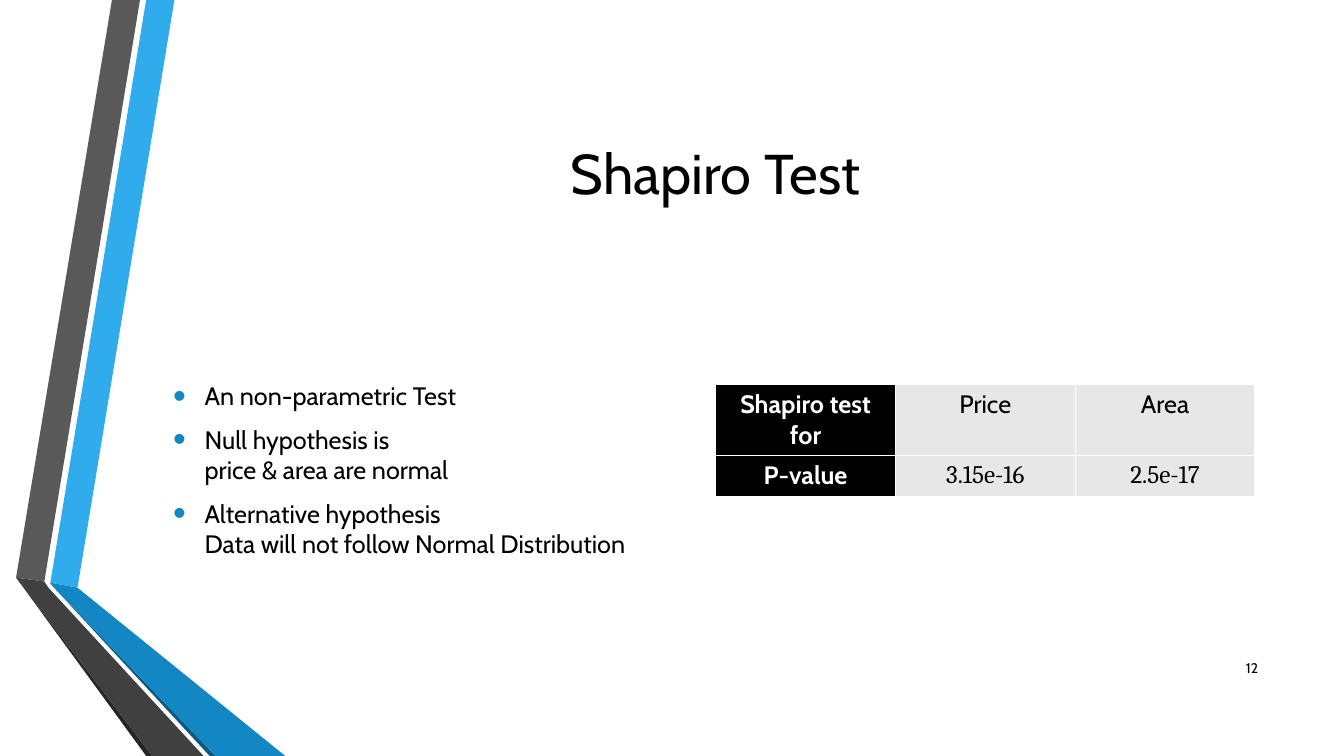
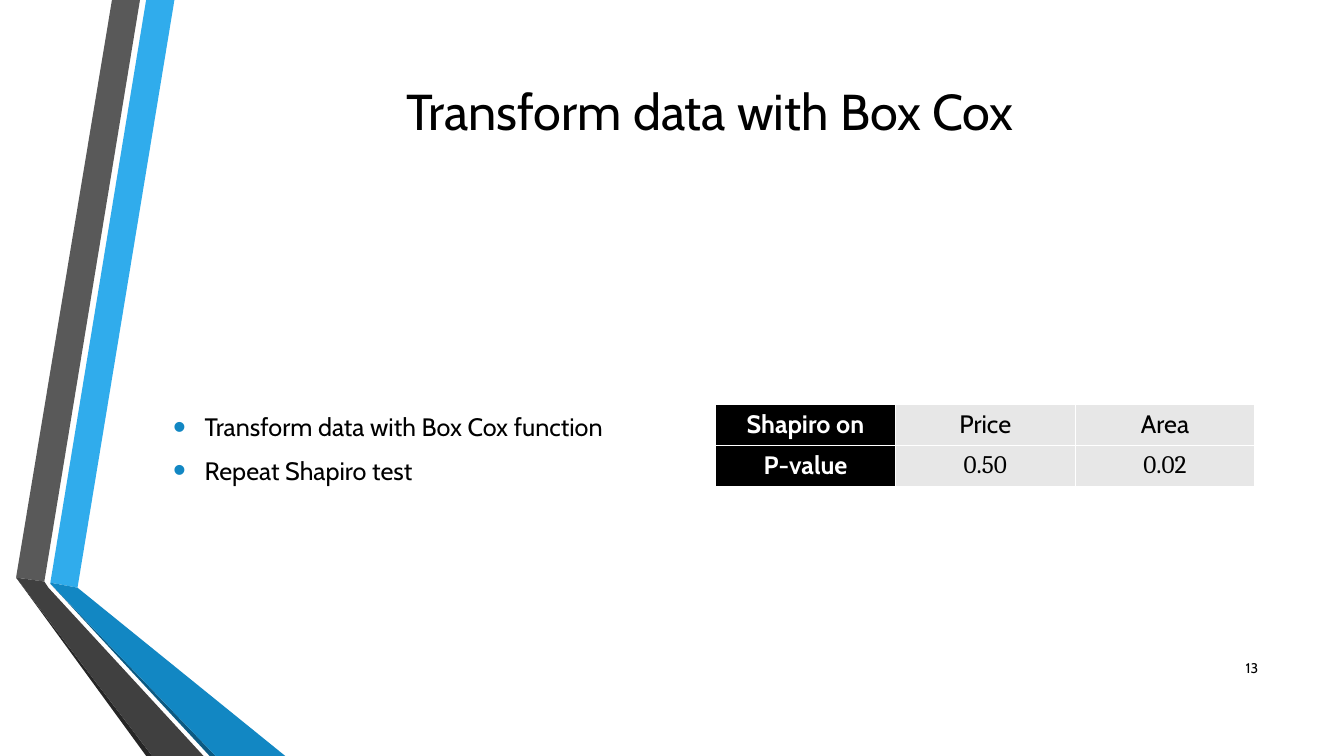
from lxml import etree
from pptx import Presentation
from pptx.dml.color import RGBColor
from pptx.enum import text
from pptx.oxml import ns
from pptx.util import Pt

BLACK, WHITE, CELL_GREY, BLUE = "000000", "FFFFFF", "E7E7E7", "1287C3"
BODY_FONT, NUMBER_FONT = "Cabin", "Cambria"
CENTER, LEFT, RIGHT = text.PP_ALIGN.CENTER, text.PP_ALIGN.LEFT, text.PP_ALIGN.RIGHT

RIBBONS = [
    ("30ACEC", [(36, 416.2), (55.4, 419.8), (124.6, 0), (104.4, 0)]),
    ("595959", [(100, 0), (80, 0), (11.5, 412.6), (31.7, 415.4)]),
    ("262626", [(11.5, 412.6), (104.4, 540), (108.7, 540)]),
    ("0C5A82", [(36, 416.9), (149.8, 540), (154.1, 540)]),
    (BLUE, [(36, 416.9), (154.1, 540), (203.8, 540), (55.4, 419.8), (36, 416.2)]),
    ("404040", [(145.4, 540), (34.6, 419.8), (31.7, 415.4), (11.5, 412.6), (108.7, 540)]),
]

SLIDES = [
    dict(
        number=12,
        title="Shapiro Test",
        title_size=40,
        title_box=(116.6, 54, 789.1, 138.2),
        bullets=[
            "An non-parametric Test",
            "Null hypothesis is\nprice & area are normal",
            "Alternative hypothesis\nData will not follow Normal Distribution",
        ],
        bullet_box=(116.6, 210.2, 385.2, 250),
        rows=[["Shapiro test for", "Price", "Area"], ["P-value", "3.15e-16", "2.5e-17"]],
        table_box=(511.2, 274.6, 385.2),
        row_heights=(50.8, 29.2),
    ),
    dict(
        number=13,
        title="Transform data with Box Cox",
        title_size=36,
        title_box=(116.6, 54, 781, 50),
        bullets=["Transform data with Box Cox function", "Repeat Shapiro test"],
        bullet_box=(116.6, 210.2, 385.2, 220),
        rows=[["Shapiro on", "Price", "Area"], ["P-value", "0.50", "0.02"]],
        table_box=(511.2, 289, 385.2),
        row_heights=(29.2, 29.2),
    ),
]


def color(value):
    return RGBColor.from_string(value)


def add_element(parent, tag, **attributes):
    return etree.SubElement(parent, ns.qn(tag), attributes)


def write(paragraph, content, size=18, font=BODY_FONT, ink=BLACK, bold=False, align=LEFT):
    paragraph.text = content
    paragraph.alignment = align
    for run in paragraph.runs:
        run.font.size = Pt(size)
        run.font.name = font
        run.font.bold = bold
        run.font.color.rgb = color(ink)


def add_frame(slide, box):
    frame = slide.shapes.add_textbox(*map(Pt, box)).text_frame
    frame.word_wrap = True
    frame.vertical_anchor = text.MSO_ANCHOR.MIDDLE
    return frame


def add_ribbons(slide):
    for fill, points in RIBBONS:
        corners = [(Pt(x), Pt(y)) for x, y in points]
        builder = slide.shapes.build_freeform(*corners[0])
        builder.add_line_segments(corners[1:], close=True)
        shape = builder.convert_to_shape()
        shape.shadow.inherit = False
        shape.fill.solid()
        shape.fill.fore_color.rgb = color(fill)
        shape.line.fill.background()


def add_label(slide, box, content, **style):
    write(add_frame(slide, box).paragraphs[0], content, **style)


def add_bullets(slide, box, items):
    frame = add_frame(slide, box)
    for index, item in enumerate(items):
        paragraph = frame.add_paragraph() if index else frame.paragraphs[0]
        properties = paragraph._p.get_or_add_pPr()
        properties.set("marL", str(Pt(22.5)))
        properties.set("indent", str(-Pt(22.5)))
        add_element(add_element(properties, "a:buClr"), "a:srgbClr", val=BLUE)
        add_element(properties, "a:buSzPct", val="145000")
        add_element(properties, "a:buFont", typeface="Arial")
        add_element(properties, "a:buChar", char="•")
        paragraph.space_before = Pt(3.6 if index else 0)
        paragraph.space_after = Pt(6)
        write(paragraph, item)


def add_borders(cell):
    properties = cell._tc.get_or_add_tcPr()
    for position, side in enumerate(("a:lnL", "a:lnR", "a:lnT", "a:lnB")):
        line = etree.Element(ns.qn(side), w=str(Pt(1)))
        add_element(add_element(line, "a:solidFill"), "a:srgbClr", val=WHITE)
        properties.insert(position, line)


def add_result_table(slide, box, rows, heights):
    left, top, width = box
    columns = len(rows[0])
    table = slide.shapes.add_table(
        len(rows), columns, Pt(left), Pt(top), Pt(width), Pt(sum(heights))
    ).table
    table.first_row = table.horz_banding = False
    for column in table.columns:
        column.width = Pt(width / columns)
    for row_index, values in enumerate(rows):
        table.rows[row_index].height = Pt(heights[row_index])
        for column_index, value in enumerate(values):
            cell = table.cell(row_index, column_index)
            header = column_index == 0
            cell.fill.solid()
            cell.fill.fore_color.rgb = color(BLACK if header else CELL_GREY)
            add_borders(cell)
            write(
                cell.text_frame.paragraphs[0],
                value,
                font=NUMBER_FONT if row_index and not header else BODY_FONT,
                ink=WHITE if header else BLACK,
                bold=header,
                align=CENTER,
            )


def add_test_slide(presentation, content):
    slide = presentation.slides.add_slide(presentation.slide_layouts[6])
    add_ribbons(slide)
    add_label(slide, content["title_box"], content["title"],
              size=content["title_size"], align=CENTER)
    add_bullets(slide, content["bullet_box"], content["bullets"])
    add_result_table(slide, content["table_box"], content["rows"], content["row_heights"])
    add_label(slide, (862.6, 463, 43.2, 28.8), str(content["number"]), size=10, align=RIGHT)


def main():
    presentation = Presentation()
    presentation.slide_width, presentation.slide_height = Pt(960), Pt(540)
    for content in SLIDES:
        add_test_slide(presentation, content)
    presentation.save("out.pptx")


if __name__ == "__main__":
    main()
